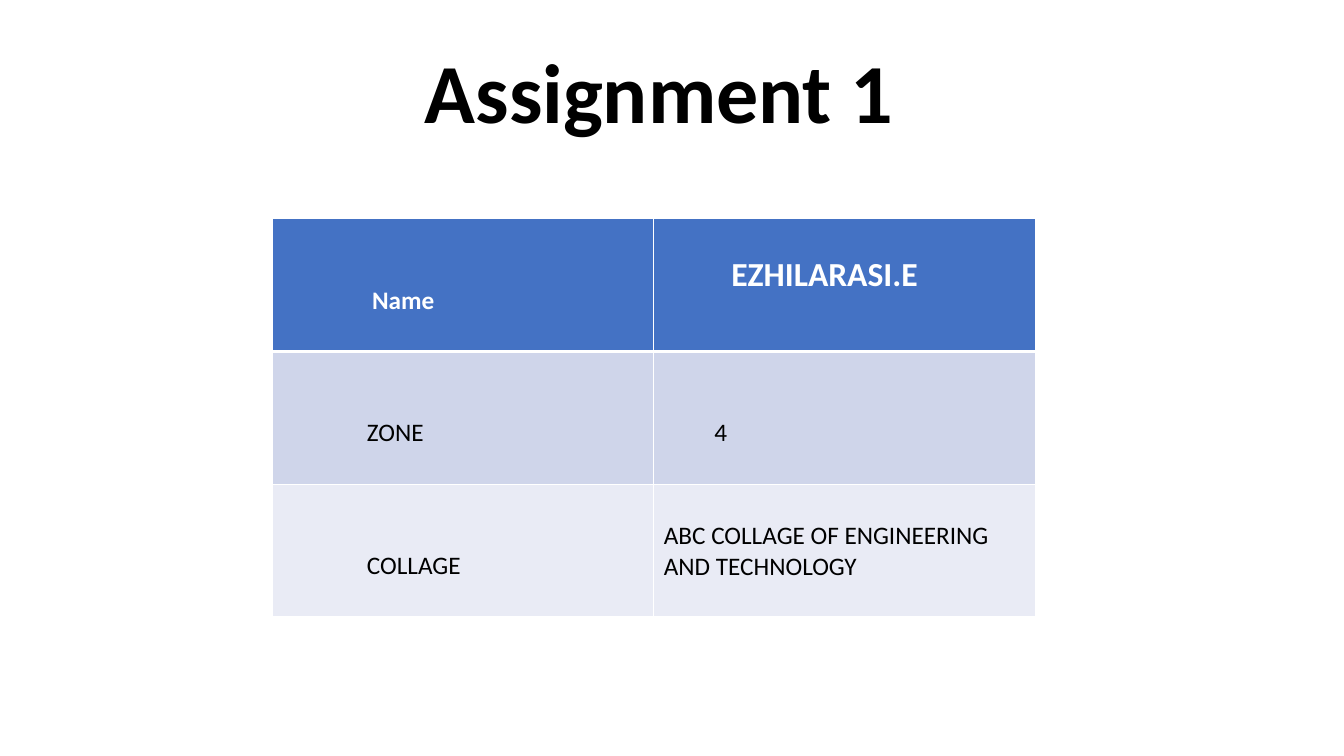
from dataclasses import dataclass

from lxml.etree import SubElement
from pptx import Presentation
from pptx.dml.color import RGBColor
from pptx.enum.text import MSO_ANCHOR, PP_ALIGN
from pptx.oxml.ns import qn
from pptx.util import Inches, Pt


@dataclass(frozen=True)
class Theme:
    font: str = "Calibri"
    ink: str = "000000"
    paper: str = "FFFFFF"
    header: str = "4472C4"
    bands: tuple = ("CFD5EA", "E9EBF5")
    title_size: int = 60
    name_size: int = 24
    body_size: int = 18
    rule: int = 1
    header_rule: int = 3


THEME = Theme()

# Each cell: text, left inset, top inset, type size
DETAILS = [
    [("Name", 0.99, 0.66, THEME.body_size), ("EZHILARASI.E", 0.77, 0.36, THEME.name_size)],
    [("ZONE", 0.94, 0.66, THEME.body_size), ("4", 0.6, 0.66, THEME.body_size)],
    [("COLLAGE", 0.94, 0.66, THEME.body_size),
     ("ABC COLLAGE OF ENGINEERING AND TECHNOLOGY", 0.1, 0.36, THEME.body_size)],
]


def write(frame, text, size, color, bold=False, align=PP_ALIGN.LEFT, spacing=1.0):
    paragraph = frame.paragraphs[0]
    paragraph.alignment = align
    paragraph.line_spacing = spacing
    run = paragraph.add_run()
    run.text = text
    run.font.name = THEME.font
    run.font.size = Pt(size)
    run.font.bold = bold
    run.font.color.rgb = RGBColor.from_string(color)


def add_borders(cell, top, bottom):
    """Rule all four sides; must run before the cell gets its fill."""
    properties = cell._tc.get_or_add_tcPr()
    widths = {"a:lnL": THEME.rule, "a:lnR": THEME.rule, "a:lnT": top, "a:lnB": bottom}
    for side, width in widths.items():
        line = SubElement(properties, qn(side), w=str(Pt(width)))
        fill = SubElement(line, qn("a:solidFill"))
        SubElement(fill, qn("a:srgbClr"), val=THEME.paper)


def add_title(slide, text, left, top, width, height):
    title = slide.shapes.title
    title.left, title.top = Inches(left), Inches(top)
    title.width, title.height = Inches(width), Inches(height)
    title.text_frame.vertical_anchor = MSO_ANCHOR.BOTTOM
    title.text_frame.word_wrap = True
    write(title.text_frame, text, THEME.title_size, THEME.ink,
          bold=True, align=PP_ALIGN.CENTER, spacing=0.9)


def add_details(slide, rows, left, top, width, height):
    table = slide.shapes.add_table(len(rows), len(rows[0]), Inches(left), Inches(top),
                                   Inches(width), Inches(height)).table
    for row_number, row in enumerate(rows):
        is_header = row_number == 0
        background = THEME.header if is_header else THEME.bands[(row_number - 1) % 2]
        for column_number, (text, inset_left, inset_top, size) in enumerate(row):
            cell = table.cell(row_number, column_number)
            cell.margin_left, cell.margin_top = Inches(inset_left), Inches(inset_top)
            add_borders(cell,
                        top=THEME.header_rule if row_number == 1 else THEME.rule,
                        bottom=THEME.header_rule if is_header else THEME.rule)
            cell.fill.solid()
            cell.fill.fore_color.rgb = RGBColor.from_string(background)
            write(cell.text_frame, text, size,
                  THEME.paper if is_header else THEME.ink, bold=is_header)


def main():
    deck = Presentation()
    deck.slide_width, deck.slide_height = Inches(13.33), Inches(7.5)
    slide = deck.slides.add_slide(deck.slide_layouts.get_by_name("Title Only"))
    add_title(slide, "Assignment 1", 1.07, 0.18, 10.94, 1.28)
    add_details(slide, DETAILS, 2.7, 2.17, 7.57, 3.95)
    deck.save("out.pptx")


if __name__ == "__main__":
    main()
